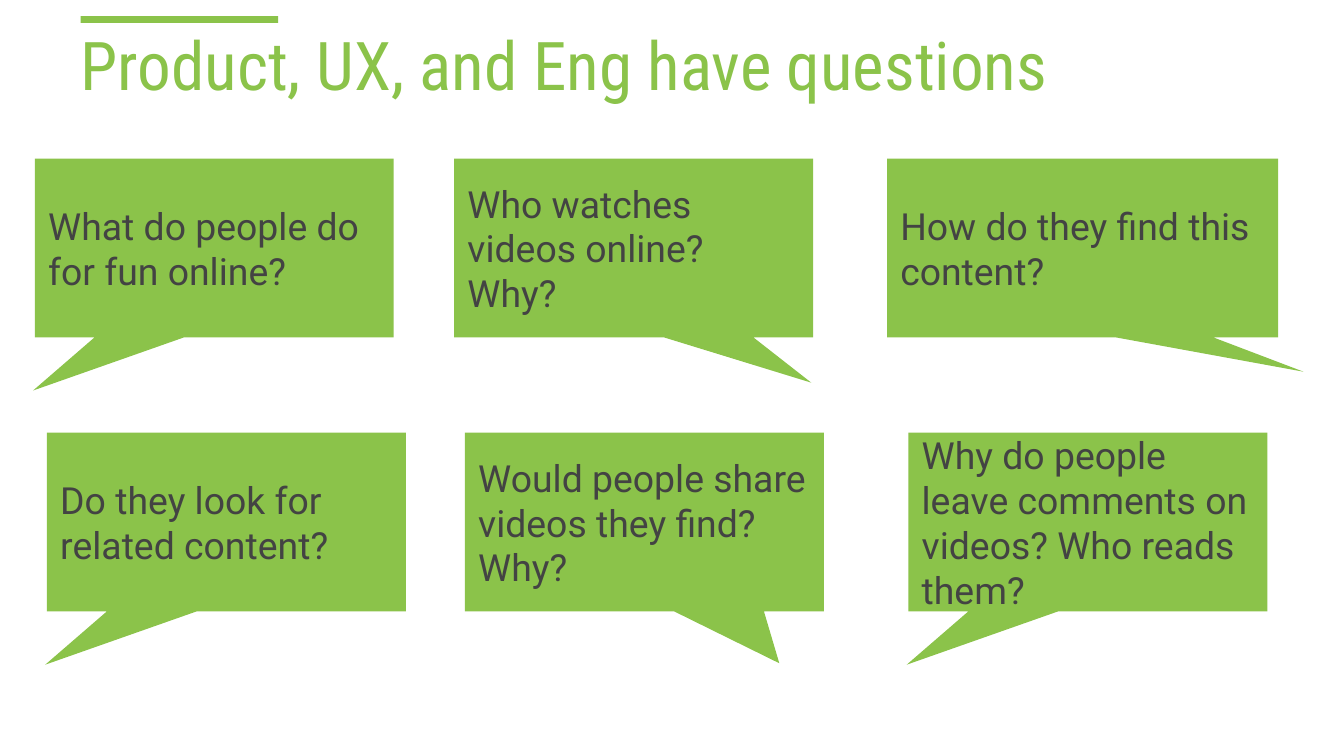
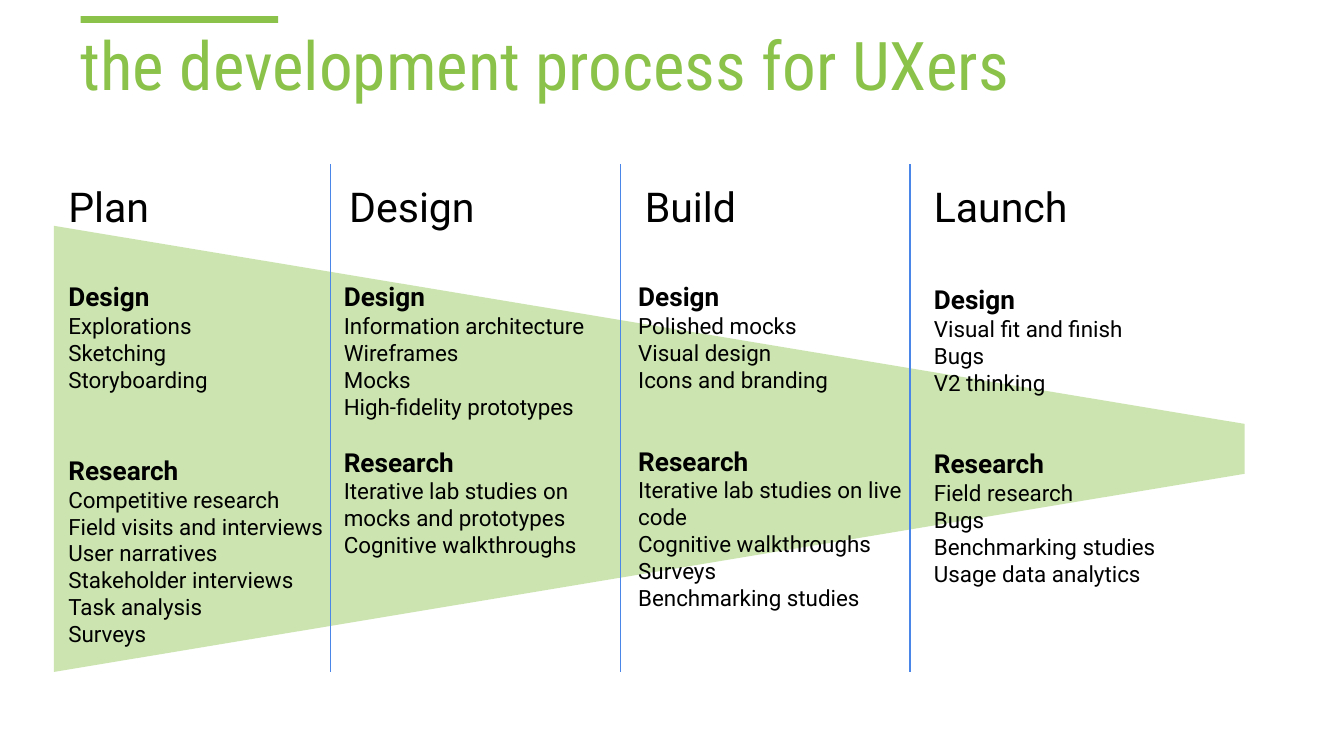
"""Build two slides on UX questions and the development process."""
from lxml import etree
from pptx import Presentation
from pptx.dml.color import RGBColor
from pptx.enum.shapes import MSO_CONNECTOR, MSO_SHAPE
from pptx.enum.text import MSO_ANCHOR, MSO_AUTO_SIZE, PP_ALIGN
from pptx.oxml.ns import qn
from pptx.util import Inches, Pt

RECT = MSO_SHAPE.RECTANGLE
CALLOUT = MSO_SHAPE.ROUNDED_RECTANGULAR_CALLOUT
TRAPEZOID = MSO_SHAPE.TRAPEZOID
STRAIGHT = MSO_CONNECTOR.STRAIGHT
TOP, MIDDLE, BOTTOM = MSO_ANCHOR.TOP, MSO_ANCHOR.MIDDLE, MSO_ANCHOR.BOTTOM
LEFT = PP_ALIGN.LEFT
NO_FIT = MSO_AUTO_SIZE.NONE

GREEN = RGBColor(0x8B, 0xC3, 0x4A)
BLUE = RGBColor(0x4A, 0x86, 0xE8)
GREY = RGBColor(0x43, 0x43, 0x43)
BLACK = RGBColor(0, 0, 0)
BODY_FONT, TITLE_FONT = "Roboto", "Roboto Condensed"

COLS, ROWS = 100, 56.25
TITLE_ONLY = 5

TAIL_LEFT = (-0.505, 0.798, 0)
QUESTION_ROWS = [
    (11.8, [
        (2.6, 26.7, TAIL_LEFT, "What do people do for fun online?"),
        (33.8, 26.7, (0.495, 0.754, 0), "Who watches videos online? Why?"),
        (66, 29.1, (0.565, 0.693, 0), "How do they find this content?"),
    ]),
    (32.2, [
        (3.5, 26.7, TAIL_LEFT, "Do they look for related content?"),
        (34.6, 26.7, (0.376, 0.79, 0), "Would people share videos they find? Why?"),
        (67.6, 26.7, TAIL_LEFT,
         "Why do people leave comments on videos? Who reads them?"),
    ]),
]

PHASES = [
    ("Plan", 4.1, 16.6, 4.1, 19.9, 24.5, 33,
     ["Explorations", "Sketching", "Storyboarding"],
     ["Competitive research", "Field visits and interviews", "User narratives",
      "Stakeholder interviews", "Task analysis", "Surveys"]),
    ("Design", 25, 14.2, 24.6, 19.9, 22.4, 14,
     ["Information architecture", "Wireframes", "Mocks",
      "High-fidelity prototypes"],
     ["Iterative lab studies on mocks and prototypes", "Cognitive walkthroughs"]),
    ("Build", 47, 14.2, 46.5, 19.9, 24.5, 28,
     ["Polished mocks", "Visual design", "Icons and branding"],
     ["Iterative lab studies on live code", "Cognitive walkthroughs", "Surveys",
      "Benchmarking studies"]),
    ("Launch", 68.5, 14.2, 68.5, 20.1, 24.5, 28,
     ["Visual fit and finish", "Bugs", "V2 thinking"],
     ["Field research", "Bugs", "Benchmarking studies", "Usage data analytics"]),
]


class Deck:
    """Hold the style, the grid and the current slide."""

    def __init__(self):
        self.prs = Presentation()
        self.prs.slide_width, self.prs.slide_height = Inches(10), Inches(5.625)
        self.s = None

    def x(self, cols):
        return round(self.prs.slide_width * cols / COLS)

    def y(self, rows):
        return round(self.prs.slide_height * rows / ROWS)

    def box(self, left, top, width, height):
        return self.x(left), self.y(top), self.x(width), self.y(height)

    def slide(self, title):
        self.s = self.prs.slides.add_slide(self.prs.slide_layouts[TITLE_ONLY])
        sp = self.s.shapes.title
        sp.left, sp.top, sp.width, sp.height = self.box(5, 1.7, 90, 7)
        self.fill_text(sp, [(title, 36, False, 0)], GREEN, BOTTOM, TITLE_FONT)
        self.shape(RECT, 6, 1.2, 14.7, 0.5)

    def fill_text(self, sp, lines, color, anchor=TOP, font=BODY_FONT):
        tf = sp.text_frame
        tf.word_wrap, tf.auto_size, tf.vertical_anchor = True, NO_FIT, anchor
        tf.margin_left = tf.margin_right = self.x(1)
        tf.margin_top = tf.margin_bottom = self.y(1)
        for i, (text, size, bold, gap) in enumerate(lines):
            p = tf.add_paragraph() if i else tf.paragraphs[0]
            p.text, p.alignment, p.space_before = text, LEFT, Pt(gap)
            p.font.name, p.font.size, p.font.bold = font, Pt(size), bold
            p.font.color.rgb = color

    def shape(self, kind, left, top, width, height, adjust=(), alpha=None):
        sp = self.s.shapes.add_shape(kind, *self.box(left, top, width, height))
        sp.shadow.inherit = False
        sp.fill.solid()
        sp.fill.fore_color.rgb = GREEN
        sp.line.fill.background()
        for i, value in enumerate(adjust):
            sp.adjustments[i] = value
        if alpha is not None:
            clr = sp._element.spPr.find(qn("a:solidFill")).find(qn("a:srgbClr"))
            etree.SubElement(clr, qn("a:alpha")).set("val", str(alpha * 1000))
        return sp

    def callout(self, left, top, width, tail, text):
        sp = self.shape(CALLOUT, left, top, width, 13.3, tail)
        self.fill_text(sp, [(text, 20, False, 0)], GREY, MIDDLE)

    def text(self, left, top, width, height, lines):
        sp = self.s.shapes.add_textbox(*self.box(left, top, width, height))
        self.fill_text(sp, lines, BLACK)

    def divider(self, col, top, bottom):
        line = self.s.shapes.add_connector(
            STRAIGHT, self.x(col), self.y(top), self.x(col), self.y(bottom))
        line.line.color.rgb, line.line.width = BLUE, Pt(0.75)
        etree.SubElement(line._element.spPr, qn("a:effectLst"))


def topic(heading, items, gap=0):
    return [(heading, 14, True, gap)] + [(item, 12, False, 0) for item in items]


def questions_slide(deck):
    deck.slide("Product, UX, and Eng have questions")
    for top, questions in QUESTION_ROWS:
        for left, width, tail, text in questions:
            deck.callout(left, top, width, tail, text)


def process_slide(deck):
    deck.slide("the development process for UXers")
    funnel = deck.shape(TRAPEZOID, 31.7, -10.9, 33.2, 88.6, (0.444,), alpha=43)
    funnel.rotation = 90
    for i in range(3):
        deck.divider(24.6 + 21.55 * i, 12.2, 50)
    for name, left, width, list_left, top, list_width, gap, design, research in PHASES:
        deck.text(left, 12.5, width, 4.5, [(name, 22, False, 0)])
        deck.text(list_left, top, list_width, 7.6,
                  topic("Design", design) + topic("Research", research, gap))


def main():
    deck = Deck()
    questions_slide(deck)
    process_slide(deck)
    deck.prs.save("out.pptx")


if __name__ == "__main__":
    main()
